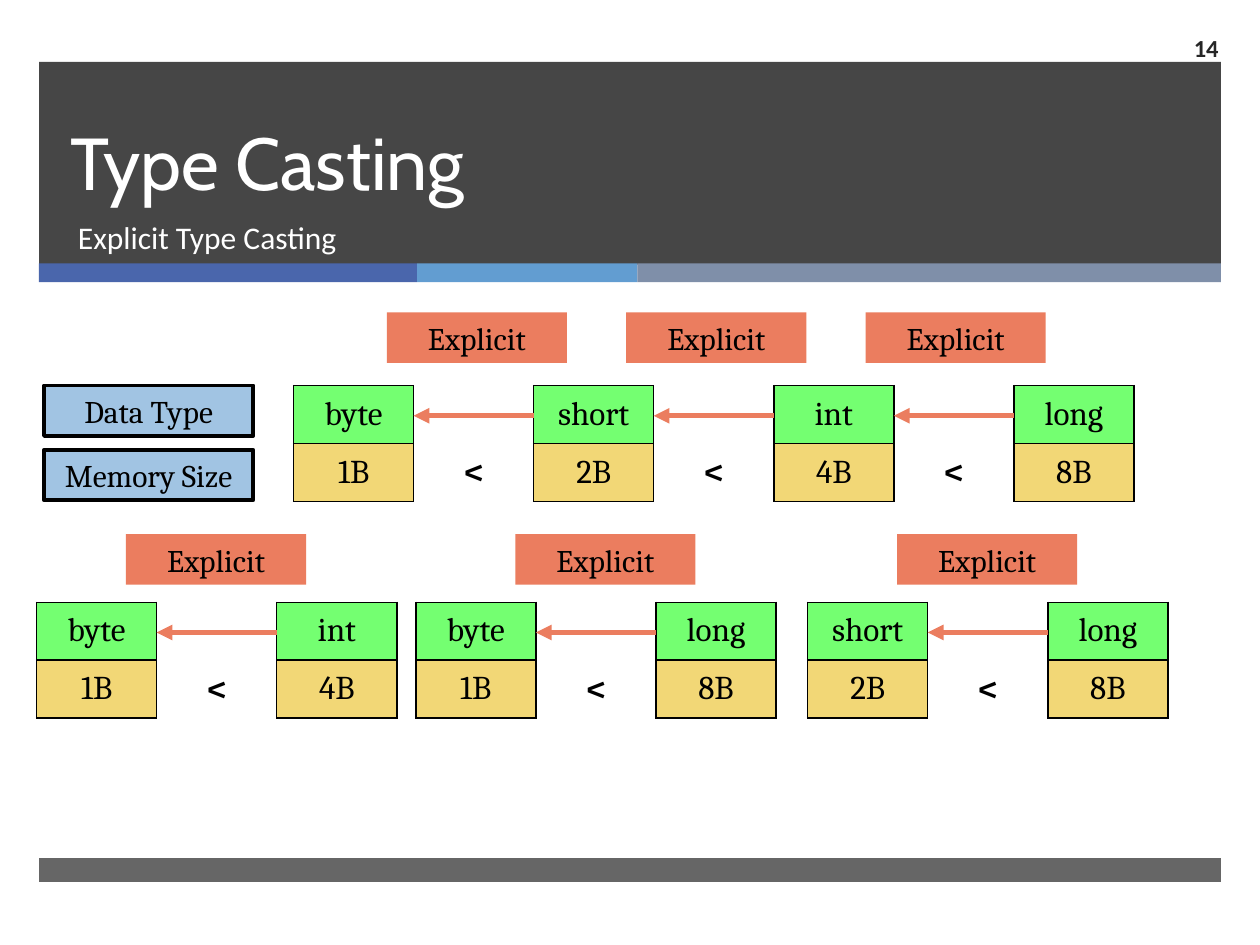
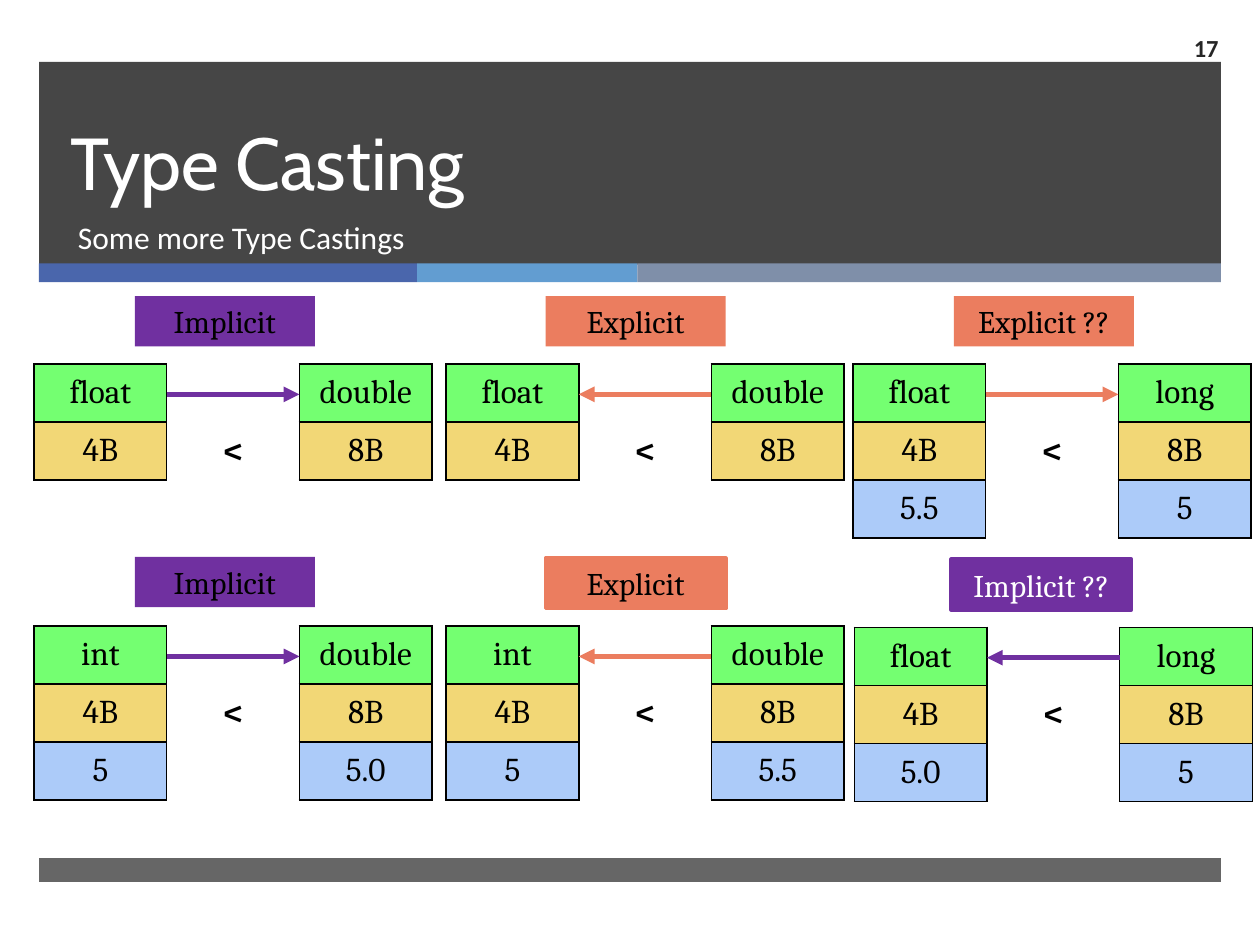
from dataclasses import dataclass

from lxml.etree import SubElement
from pptx import Presentation
from pptx.dml.color import RGBColor
from pptx.enum.shapes import MSO_CONNECTOR, MSO_SHAPE
from pptx.enum.text import MSO_ANCHOR, PP_ALIGN
from pptx.oxml.ns import qn
from pptx.util import Inches, Pt


@dataclass(frozen=True)
class Theme:
    band: str = "262626"
    stripes: tuple = ("4A66AC", "629DD1", "7F8FA9")
    white: str = "FFFFFF"
    black: str = "000000"
    legend: str = "A1C4E3"
    rows: tuple = ("74FF71", "F2D776", "ACCBF9")
    explicit: str = "EB7D5F"
    implicit: str = "7030A0"
    title_font: str = "Cabin"
    body_font: str = "Calibri"
    diagram_font: str = "Cambria"
    title_size: int = 42
    body_size: int = 18
    cell_size: int = 19
    sign_size: int = 20
    number_size: int = 14


theme = Theme()


def style_text(frame, text, font, size, color, align=PP_ALIGN.CENTER, bold=False):
    frame.text = text
    paragraph = frame.paragraphs[0]
    paragraph.alignment = align
    run = paragraph.runs[0]
    run.font.name = font
    run.font.size = Pt(size)
    run.font.bold = bold
    run.font.color.rgb = RGBColor.from_string(color)


def add_box(slide, left, top, width, height, fill, text="", color=theme.black,
            outline=None, alpha=None):
    box = slide.shapes.add_shape(MSO_SHAPE.RECTANGLE, Inches(left), Inches(top),
                                 Inches(width), Inches(height))
    box.shadow.inherit = False
    box.fill.solid()
    box.fill.fore_color.rgb = RGBColor.from_string(fill)
    if alpha:
        tint = box.fill._xPr.find(qn("a:solidFill"))[0]
        SubElement(tint, qn("a:alpha")).set("val", str(alpha * 1000))
    if outline:
        box.line.color.rgb = RGBColor.from_string(outline)
        box.line.width = Pt(2.25)
    else:
        box.line.fill.background()
    if text:
        box.text_frame.word_wrap = True
        box.text_frame.vertical_anchor = MSO_ANCHOR.MIDDLE
        style_text(box.text_frame, text, theme.diagram_font, theme.body_size, color)


@dataclass(frozen=True)
class Cast:
    left: float
    top: float
    width: float
    types: tuple
    badge: str
    badge_left: float
    badge_top: float
    color: str = theme.explicit
    values: tuple = ()
    rightward: bool = False
    outlined: bool = False
    badge_text: str = theme.black


memory = {"byte": "1B", "short": "2B", "int": "4B", "long": "8B", "float": "4B", "double": "8B"}
row_height = 0.46
badge_step = 1.9

lessons = [
    ("14", "Explicit Type Casting", ("Data Type", "Memory Size"), [
        Cast(2.33, 3.06, 6.67, ("byte", "short", "int", "long"), "Explicit", 3.07, 2.48),
        Cast(0.29, 4.78, 2.86, ("byte", "int"), "Explicit", 1, 4.24),
        Cast(3.3, 4.78, 2.86, ("byte", "long"), "Explicit", 4.09, 4.24),
        Cast(6.41, 4.78, 2.86, ("short", "long"), "Explicit", 7.12, 4.24),
    ]),
    ("17", "Some more Type Castings", (), [
        Cast(0.27, 2.89, 3.16, ("float", "double"), "Implicit", 1.07, 2.35,
             theme.implicit, rightward=True),
        Cast(3.54, 2.89, 3.16, ("float", "double"), "Explicit", 4.33, 2.35),
        Cast(0.27, 4.97, 3.16, ("int", "double"), "Implicit", 1.07, 4.42,
             theme.implicit, ("5", "5.0"), rightward=True),
        Cast(3.54, 4.97, 3.16, ("int", "double"), "Explicit", 4.33, 4.43,
             values=("5", "5.5"), outlined=True),
        Cast(6.77, 2.89, 3.16, ("float", "long"), "Explicit ??", 7.57, 2.35,
             values=("5.5", "5"), rightward=True),
        Cast(6.78, 4.98, 3.16, ("float", "long"), "Implicit ??", 7.55, 4.44,
             theme.implicit, ("5.0", "5"), outlined=True, badge_text=theme.white),
    ]),
]

deck = Presentation()
deck.slide_width = Inches(10)
deck.slide_height = Inches(7.5)

for number, subtitle, legend, casts in lessons:
    slide = deck.slides.add_slide(deck.slide_layouts[6])

    add_box(slide, 0.31, 0.49, 9.38, 1.61, theme.band, alpha=85)
    stripe_left = 0.31
    for stripe_width, stripe_color in zip((3, 1.75, 4.63), theme.stripes):
        add_box(slide, stripe_left, 2.09, stripe_width, 0.15, stripe_color)
        stripe_left += stripe_width
    add_box(slide, 0.31, 6.81, 9.38, 0.19, theme.band, alpha=70)

    for at, anchor, text, font, size, color, align, bold in (
        ((0.46, 0.49, 8.54, 1.19), MSO_ANCHOR.BOTTOM, "Type Casting", theme.title_font,
         theme.title_size, theme.white, PP_ALIGN.LEFT, False),
        ((0.52, 1.68, 8.48, 0.53), MSO_ANCHOR.TOP, subtitle, theme.body_font,
         theme.body_size, theme.white, PP_ALIGN.LEFT, False),
        ((9.08, 0.18, 0.69, 0.39), MSO_ANCHOR.MIDDLE, number, theme.body_font,
         theme.number_size, theme.band, PP_ALIGN.RIGHT, True),
    ):
        heading = slide.shapes.add_textbox(*map(Inches, at)).text_frame
        heading.word_wrap = True
        heading.vertical_anchor = anchor
        style_text(heading, text, font, size, color, align, bold)
        if size == theme.title_size:
            heading.paragraphs[0].line_spacing = Pt(46)

    for index, label in enumerate(legend):
        add_box(slide, 0.35, 3.06 + index * 0.51, 1.66, 0.4, theme.legend, label,
                outline=theme.black)

    for cast in casts:
        rows = [cast.types, [memory[name] for name in cast.types]]
        if cast.values:
            rows.append(cast.values)
        column_count = 2 * len(cast.types) - 1
        column_width = cast.width / column_count

        table = slide.shapes.add_table(
            len(rows), column_count, Inches(cast.left), Inches(cast.top),
            Inches(cast.width), Inches(row_height * len(rows))).table
        table.first_row = table.horz_banding = False
        table._tbl.tblPr.find(qn("a:tableStyleId")).text = "{2D5ABB26-0587-4C30-8999-92F81FD0307C}"
        for row_index, row in enumerate(rows):
            table.rows[row_index].height = Inches(row_height)
            for column in range(column_count):
                cell = table.cell(row_index, column)
                cell.vertical_anchor = MSO_ANCHOR.MIDDLE
                is_gap = column % 2 == 1
                for side in "LR" if is_gap else "LRTB":
                    border = SubElement(cell._tc.get_or_add_tcPr(), qn(f"a:ln{side}"), w=str(Pt(1)))
                    border_fill = SubElement(border, qn("a:solidFill"))
                    SubElement(border_fill, qn("a:srgbClr"), val=theme.black)
                if is_gap:
                    cell.fill.background()
                    if row_index == 1:
                        style_text(cell.text_frame, "<", theme.diagram_font, theme.sign_size,
                                   theme.black, bold=True)
                else:
                    cell.fill.solid()
                    cell.fill.fore_color.rgb = RGBColor.from_string(theme.rows[row_index])
                    style_text(cell.text_frame, row[column // 2], theme.diagram_font,
                               theme.cell_size, theme.black)
        for column in table.columns:
            column.width = Inches(column_width)

        for step in range(len(cast.types) - 1):
            gap_left = cast.left + column_width * (2 * step + 1)
            ends = [gap_left + column_width, gap_left]
            if cast.rightward:
                ends.reverse()
            arrow_y = Inches(cast.top + 0.24)
            arrow = slide.shapes.add_connector(
                MSO_CONNECTOR.STRAIGHT, Inches(ends[0]), arrow_y, Inches(ends[1]), arrow_y)
            arrow.line.color.rgb = RGBColor.from_string(cast.color)
            arrow.line.width = Pt(3)
            SubElement(arrow.line._get_or_add_ln(), qn("a:tailEnd"), type="triangle")
            SubElement(arrow._element.spPr, qn("a:effectLst"))
            add_box(slide, cast.badge_left + badge_step * step, cast.badge_top, 1.43, 0.4,
                    cast.color, cast.badge, cast.badge_text,
                    cast.color if cast.outlined else None)

deck.save("out.pptx")
